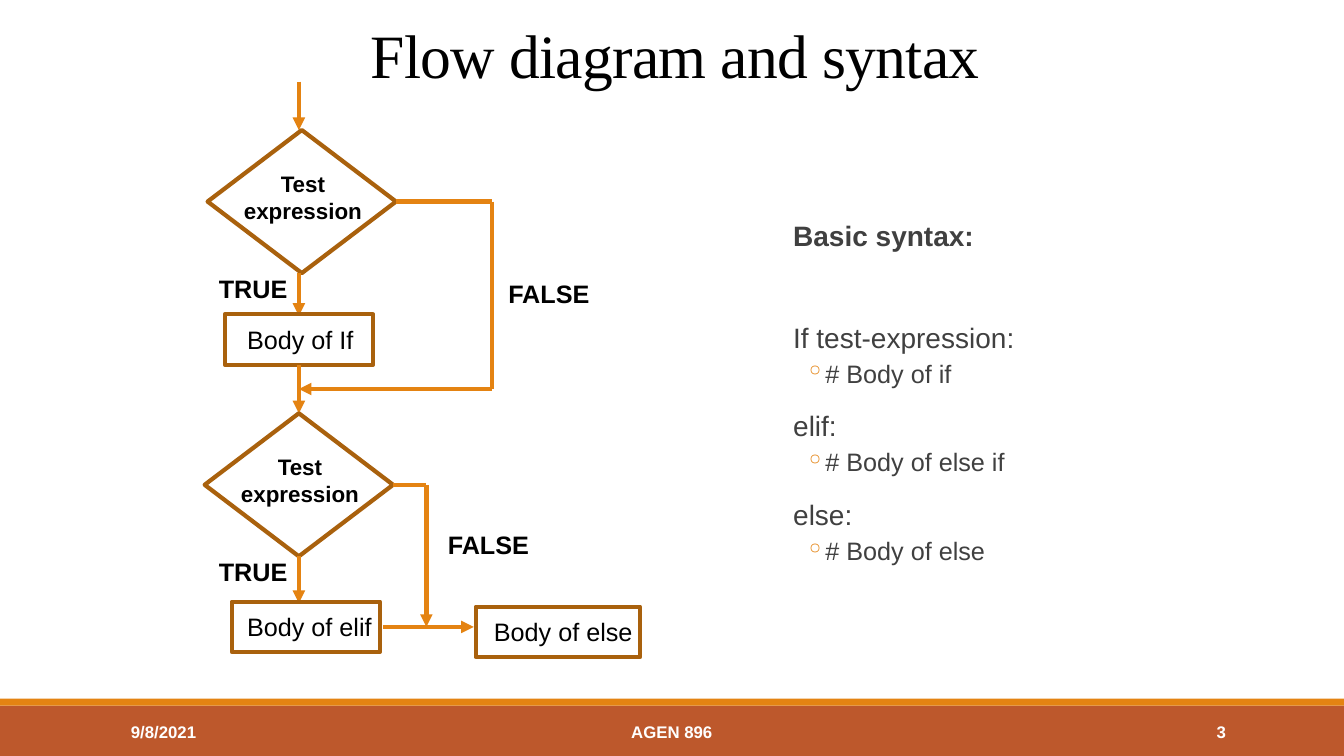
import itertools

import lxml.etree
import pptx
import pptx.util
import pptx.dml.color
import pptx.enum.shapes
import pptx.enum.text
import pptx.oxml.ns

Pt = pptx.util.Pt
SHAPE = pptx.enum.shapes.MSO_SHAPE
ALIGN = pptx.enum.text.PP_ALIGN
ANCHOR = pptx.enum.text.MSO_ANCHOR
COLOR = {"band": "BD582C", "line": "E48312", "edge": "A9610D",
         "black": "000000", "gray": "404040", "white": "FFFFFF"}


def rgb(name):
    """Look up a colour by name."""
    return pptx.dml.color.RGBColor.from_string(COLOR[name])


def node(parent, tag, **attrs):
    """Append a drawing element to a parent."""
    return lxml.etree.SubElement(parent, pptx.oxml.ns.qn("a:" + tag), attrs)


def format_text(frame, text, size=18, bold=False, color="black", font="Arial",
                align=ALIGN.LEFT, anchor=ANCHOR.TOP, inset=(7.2, 3.6, 7.2, 3.6),
                space=None, track=None):
    """Fill a text frame with one styled paragraph."""
    frame.word_wrap = True
    frame.vertical_anchor = anchor
    (frame.margin_left, frame.margin_top,
     frame.margin_right, frame.margin_bottom) = map(Pt, inset)
    para = frame.paragraphs[0]
    para.alignment, para.line_spacing = align, space
    add_run(para, text, size, bold, color, font, track)


def add_run(para, text, size, bold=False, color="black", font="Arial", track=None):
    """Add one styled run to a paragraph."""
    run = para.add_run()
    run.text = text
    run.font.size, run.font.bold, run.font.name = Pt(size), bold, font
    run.font.color.rgb = rgb(color)
    if track:
        run.font._element.set("spc", str(track))


def add_label(slide, box, text, **style):
    """Place a text box."""
    format_text(slide.shapes.add_textbox(*map(Pt, box)).text_frame, text, **style)


def add_block(slide, kind, box, fill=None, edge=None):
    """Place a plain shape with an optional fill and edge."""
    shape = slide.shapes.add_shape(kind, *map(Pt, box))
    shape.shadow.inherit = False
    if fill:
        shape.fill.solid()
        shape.fill.fore_color.rgb = rgb(fill)
    else:
        shape.fill.background()
    if edge:
        shape.line.color.rgb = rgb(edge)
        shape.line.width = Pt(3)
    else:
        shape.line.fill.background()
    return shape


def add_route(slide, *points):
    """Join points with straight lines, with an arrowhead at the end."""
    for start, end in itertools.pairwise(points):
        link = slide.shapes.add_connector(
            pptx.enum.shapes.MSO_CONNECTOR.STRAIGHT, *map(Pt, start + end))
        link.line.color.rgb = rgb("line")
        link.line.width = Pt(3)
        node(link._element.spPr, "effectLst")
    node(link.line._get_or_add_ln(), "tailEnd", type="triangle")


def add_step(slide, box, text, inset):
    """Draw a process box with its text."""
    shape = add_block(slide, SHAPE.RECTANGLE, box, edge="edge")
    format_text(shape.text_frame, text, anchor=ANCHOR.MIDDLE, inset=(inset, 3.6, 0, 3.6))


def draw_stage(slide, box, axis, text, body):
    """Draw a test, its TRUE branch and the box below; return the test's right tip."""
    left, top, width, height = box
    test = top + 34.6
    low = test + height
    body_left, body_top = body
    add_route(slide, (axis, top), (axis, test))
    add_block(slide, SHAPE.DIAMOND, (left, test, width, height), edge="edge")
    add_label(slide, (left + 8.3, test + 25, 119.5, 46), "Test expression",
              size=16, bold=True, align=ALIGN.CENTER)
    add_route(slide, (axis, low), (axis, body_top + 1))
    add_label(slide, (axis - 65.2, low - 3.6, 65, 29), "TRUE",
              bold=True, align=ALIGN.CENTER)
    add_step(slide, (body_left, body_top, 105.8, 36), text, axis - 37 - body_left)
    return left + width, test + height / 2


def draw_flow(slide, box):
    """Draw both tests and their FALSE branches."""
    left, top, _, _ = box
    axis = left + 67.3
    tip = draw_stage(slide, (left + 2.1, top, 134.6, 102.2), axis,
                     "Body of If", (left + 14.4, top + 166.3))
    turn, join = left + 205.2, top + 219.6
    add_route(slide, tip, (turn, tip[1]), (turn, join), (axis, join))

    tip = draw_stage(slide, (left, top + 202.3, 134.6, 102.2), axis,
                     "Body of elif", (left + 19.4, top + 371.5))
    turn, join = left + 158.4, top + 389.5
    add_route(slide, tip, (turn, tip[1]), (turn, join))
    add_route(slide, (left + 127.4, join), (left + 192.2, join))
    add_step(slide, (left + 193.6, top + 375.1, 117.4, 36), "Body of else", 13)

    for across, down in ((205.9, 136.8), (162.7, 316.1)):
        add_label(slide, (left + across, top + down, 80, 29), "FALSE",
                  bold=True, align=ALIGN.CENTER)


def draw_syntax(slide, box):
    """Write the syntax outline."""
    frame = slide.shapes.add_textbox(*map(Pt, box)).text_frame
    frame.word_wrap = True
    frame.margin_left = frame.margin_right = 0
    lines = (("Basic syntax:", 0, 0), ("If test-expression:", 0, 48),
             ("# Body of if", 1, 2), ("elif:", 0, 12),
             ("# Body of else if", 1, 2), ("else:", 0, 12), ("# Body of else", 1, 2))
    for place, (text, level, gap) in enumerate(lines):
        para = frame.add_paragraph() if place else frame.paragraphs[0]
        para.level, para.line_spacing = level, 0.95
        para.space_before, para.space_after = Pt(gap), Pt(4 if level else 2)
        props = para._p.get_or_add_pPr()
        props.set("marL", str(Pt(30.2 if level else 7.2)))
        props.set("indent", str(Pt(-14.4 if level else 0)))
        if level:
            node(node(props, "buClr"), "srgbClr", val=COLOR["line"])
            node(props, "buChar", char="◦")
        add_run(para, text, 18 if level else 20, bold=not place, color="gray")


def draw_foot(slide, box):
    """Draw the footer band with date, course and page."""
    left, top, width, height = box
    add_block(slide, SHAPE.RECTANGLE, (left, top + 5, width, height - 5), fill="band")
    add_block(slide, SHAPE.RECTANGLE, (left, top, width, 5), fill="line")
    for text, start, span, align in (("9/8/2021", 86.4, 194.4, ALIGN.LEFT),
                                     ("AGEN 896", 290.2, 379.4, ALIGN.CENTER),
                                     ("3", 779.8, 103, ALIGN.RIGHT)):
        add_label(slide, (left + start, top + 9.4, span, 28.8), text, size=12,
                  bold=True, color="white", align=align, anchor=ANCHOR.MIDDLE)


def main():
    """Build and save the slide."""
    deck = pptx.Presentation()
    deck.slide_width, deck.slide_height = Pt(960), Pt(540)
    slide = deck.slides.add_slide(deck.slide_layouts[6])
    draw_foot(slide, (0, 499, 960, 41))
    add_label(slide, (86.4, 12.2, 792, 56.2), "Flow diagram and syntax", size=44,
              font="Times New Roman", align=ALIGN.CENTER, anchor=ANCHOR.BOTTOM,
              space=0.85, track=-50)
    draw_syntax(slide, (559.4, 154, 319, 306.7))
    draw_flow(slide, (146.2, 58.3, 311, 411))
    deck.save("out.pptx")


main()
